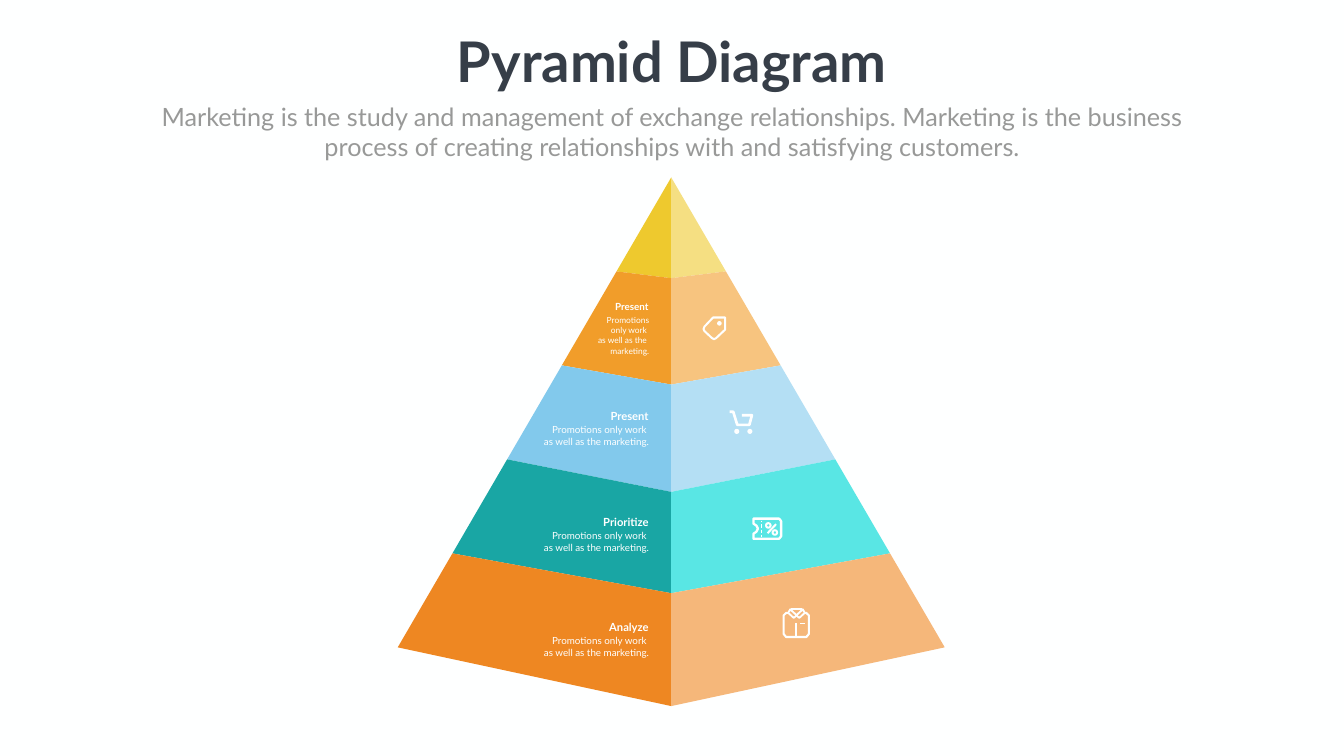
import pptx
import pptx.util
import pptx.dml.color
import pptx.enum.shapes
import pptx.enum.text
import lxml.etree
from pptx.util import Inches

WHITE = "FEFFFF"
STEP_X, STEP_Y = 1.085, 1.865
SPINE = [0, 2, 4.11, 6.24, 8.25, 10.49]
TIERS = [("EEC92E", "F5DF82"), ("F19D2A", "F7C47F"), ("82C9EC", "B4DFF4"),
         ("19A6A4", "59E6E4"), ("EE8722", "F5B77A")]
LINES = ["Promotions only work ", "as well as the marketing."]
SHORT = ["Promotions", " only work ", "as well as the ", "marketing."]
NOTES = [("Present", SHORT, 2.4, 14), ("Present", LINES, 4.55, 16),
         ("Prioritize", LINES, 6.65, 16), ("Analyze", LINES, 8.74, 16)]


def color(code):
    return pptx.dml.color.RGBColor.from_string(code)


def paint(shape, fill=None, width=0):
    shape.shadow.inherit = False
    if fill:
        shape.fill.solid()
        shape.fill.fore_color.rgb = color(fill)
    else:
        shape.fill.background()
    if width:
        stroke(shape, width)
    else:
        shape.line.fill.background()


def stroke(shape, width):
    shape.line.color.rgb = color(WHITE)
    shape.line.width = pptx.util.Pt(width)
    edge = shape.line.fill._xPr
    lxml.etree.SubElement(edge, pptx.oxml.ns.qn("a:round"))


def outline(slide, left, top, points, fill=None, width=0, close=True):
    spots = [(Inches(left + x), Inches(top + y)) for x, y in points]
    maker = slide.shapes.build_freeform(*spots[0], scale=1.0)
    maker.add_line_segments(spots[1:], close=close)
    paint(maker.convert_to_shape(), fill, width)


def rule(slide, left, top, start, end, width):
    ends = [Inches(left + start[0]), Inches(top + start[1]),
            Inches(left + end[0]), Inches(top + end[1])]
    line = slide.shapes.add_connector(
        pptx.enum.shapes.MSO_CONNECTOR.STRAIGHT, *ends)
    stroke(line, width)
    lxml.etree.SubElement(line._element.spPr, pptx.oxml.ns.qn("a:effectLst"))


def disc(slide, left, top, size, fill=WHITE, width=0):
    shape = slide.shapes.add_shape(
        pptx.enum.shapes.MSO_SHAPE.OVAL,
        Inches(left), Inches(top), Inches(size), Inches(size))
    paint(shape, fill, width)


def write(slide, box, lines, size, code, align, bold=False):
    frame = slide.shapes.add_textbox(*map(Inches, box)).text_frame
    frame.word_wrap = True
    for index, line in enumerate(lines):
        para = frame.add_paragraph() if index else frame.paragraphs[0]
        para.text = line
        para.alignment = align
        para.font.name = "Lato"
        para.font.size = pptx.util.Pt(size)
        para.font.bold = bold
        para.font.color.rgb = color(code)


def tag(slide, left, top):
    outline(slide, left, top,
            [(0.22, 0.02), (0.46, 0.02), (0.46, 0.26), (0.28, 0.43),
             (0.24, 0.45), (0.2, 0.43), (0.05, 0.29), (0.03, 0.25),
             (0.05, 0.2)], width=2.9)
    disc(slide, left + 0.3, top + 0.09, 0.09)


def cart(slide, left, top):
    outline(slide, left, top,
            [(0.02, 0.03), (0.09, 0.03), (0.17, 0.29), (0.41, 0.29),
             (0.46, 0.1), (0.26, 0.1)], width=3.8, close=False)
    for x in (0.11, 0.37):
        disc(slide, left + x, top + 0.37, 0.1)


def ticket(slide, left, top):
    outline(slide, left, top,
            [(0.02, 0.02), (0.53, 0.02), (0.57, 0.07), (0.57, 0.37),
             (0.53, 0.42), (0.02, 0.42), (0.02, 0.32), (0.08, 0.28),
             (0.11, 0.22), (0.08, 0.16), (0.02, 0.12)], width=3.3)
    for start, end in [(0.06, 0.09), (0.13, 0.21), (0.24, 0.31), (0.34, 0.39)]:
        rule(slide, left, top, (0.18, start), (0.18, end), 2.2)
    rule(slide, left, top, (0.3, 0.31), (0.47, 0.13), 2.9)
    for x, y in [(0.27, 0.11), (0.4, 0.25)]:
        disc(slide, left + x, top + y, 0.09, fill=None, width=2.9)


def shirt(slide, left, top):
    outline(slide, left, top,
            [(0.11, 0.09), (0.07, 0.09), (0.02, 0.14), (0.02, 0.51),
             (0.07, 0.57), (0.47, 0.57), (0.52, 0.51), (0.52, 0.14),
             (0.47, 0.09), (0.42, 0.09)], width=3, close=False)
    flap = [(0.15, 0.02), (0.28, 0.14), (0.22, 0.19), (0.11, 0.09)]
    outline(slide, left, top, flap, width=2.6)
    outline(slide, left, top, [(0.55 - x, y) for x, y in flap], width=2.6)
    rule(slide, left, top, (0.16, 0.02), (0.39, 0.02), 2.5)
    rule(slide, left, top, (0.35, 0.3), (0.45, 0.3), 2.2)
    rule(slide, left, top, (0.27, 0.3), (0.27, 0.56), 2.2)


def header(slide, left, top, width):
    center = pptx.enum.text.PP_ALIGN.CENTER
    write(slide, (left, top, width, 1.45), ["Pyramid Diagram"],
          80, "363E48", center, True)
    write(slide, (left, top + 1.49, width, 1.31),
          ["Marketing is the study and management of exchange relationships. "
           "Marketing is the business process of creating relationships with "
           "and satisfying customers."], 36, "989998", center)


def pyramid(slide, left, top, width):
    mid = left + width / 2
    for side in (0, 1):
        sign = 2 * side - 1
        for level, tones in enumerate(TIERS):
            low = level + 1
            points = [(0, SPINE[level]), (0, SPINE[low]),
                      (sign * low * STEP_X, low * STEP_Y)]
            if level:
                points.append((sign * level * STEP_X, level * STEP_Y))
            outline(slide, mid, top, points, tones[side])
    for icon, x, y in [(tag, 0.61, 2.76), (cart, 1.14, 4.62),
                       (ticket, 1.61, 6.75), (shirt, 2.21, 8.55)]:
        icon(slide, mid + x, top + y)
    right = pptx.enum.text.PP_ALIGN.RIGHT
    for title, lines, y, size in NOTES:
        write(slide, (mid - 1.65, top + y, 1.3, 0.37), [title],
              size, WHITE, right, True)
        write(slide, (mid - 2.66, top + y + 0.29, 2.32, 0.57), lines,
              size - 2, WHITE, right)


def main():
    deck = pptx.Presentation()
    deck.slide_width = Inches(26.66)
    deck.slide_height = Inches(15)
    slide = deck.slides.add_slide(deck.slide_layouts[6])
    slide.background.fill.solid()
    slide.background.fill.fore_color.rgb = color(WHITE)
    header(slide, 2.92, 0.47, 20.82)
    pyramid(slide, 7.89, 3.52, 10.85)
    deck.save("out.pptx")


if __name__ == "__main__":
    main()
